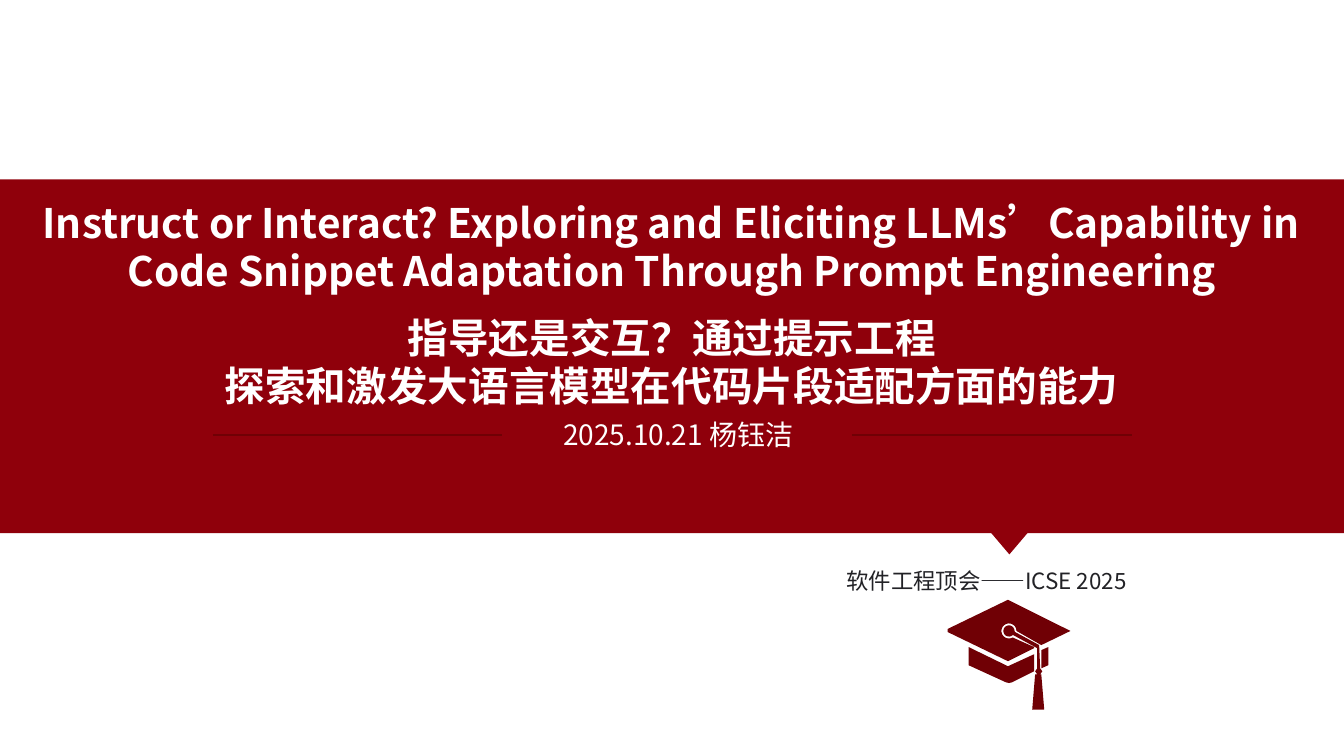
from math import cos, radians, sin

from lxml.etree import SubElement
from pptx import Presentation
from pptx.dml.color import RGBColor
from pptx.enum.shapes import MSO_CONNECTOR, MSO_SHAPE
from pptx.enum.text import MSO_ANCHOR, MSO_AUTO_SIZE, PP_ALIGN
from pptx.oxml.ns import qn
from pptx.util import Pt

RECT, WEDGE = MSO_SHAPE.RECTANGLE, MSO_SHAPE.ISOSCELES_TRIANGLE
LINE = MSO_CONNECTOR.STRAIGHT
LEFT, MID = PP_ALIGN.LEFT, PP_ALIGN.CENTER
TOP, FIXED = MSO_ANCHOR.TOP, MSO_AUTO_SIZE.NONE

WIDE, HIGH = 960, 540
FONT = "Noto Sans CJK SC"
HUES = {"band": "8F000B", "dark": "700005", "white": "FFFFFF", "ink": "222226"}
HEAD = {"size": Pt(29), "bold": True}
DATE = {"size": Pt(20), "bold": False}
NOTE = {"size": Pt(16), "bold": False}


def hue(name):
    return RGBColor.from_string(HUES[name])


def arc(size, start, end, steps=16):
    """Points around the button in the middle of the cap."""
    turns = [radians(start + (end - start) * i / steps) for i in range(steps + 1)]
    return [(43.9 + size * cos(t), 22.3 + size * sin(t)) for t in turns]


# Outlines of the graduation cap, measured from its top left corner
CAP = [
    # Right and left parts of the skullcap
    [(67, 49), (72, 46.8), (72, 33.8), (67, 36)],
    [(15.1, 33.8), (15.1, 46.8), (41.8, 59), (43.9, 59.5), (46.1, 59),
     (61.9, 51.1), (61.9, 38.9), (43.2, 47.5)],
    # Button and cord
    [(65.5, 33.1), (65.5, 32.4), (48.2, 23), *arc(4, 360, 45), (64.1, 34.6)],
    # Board, with a slot around the cord
    [(87.8, 22.3), (43.2, 0), (0, 20.9), (0, 23), (43.2, 43.9), (61.9, 34.6),
     (61.9, 33.8), *arc(5.4, 60, 360), (67, 32.4)],
    # Tassel
    [(65.5, 33.1), (66.2, 49), (67.7, 51.1), (66.2, 53.3), (67, 53.3),
     (69.1, 78.5), (60.5, 78.5), (62.6, 53.3), (64.1, 53.3), (62.6, 51.1),
     (64.1, 49), (64.1, 34.6)],
]


class Deck:
    def __init__(self):
        self.show = Presentation()
        self.show.slide_width, self.show.slide_height = Pt(WIDE), Pt(HIGH)
        self.slide = self.show.slides.add_slide(self.show.slide_layouts[0])
        self.shapes = self.slide.shapes

    def paint(self, shape, color):
        shape.shadow.inherit = False
        shape.fill.solid()
        shape.fill.fore_color.rgb = hue(color)
        shape.line.fill.background()
        return shape

    def block(self, kind, box, color):
        return self.paint(self.shapes.add_shape(kind, *map(Pt, box)), color)

    def outline(self, parts, x, y, color):
        pen = None
        for part in parts:
            first, *rest = [(Pt(a), Pt(b)) for a, b in part]
            if pen is None:
                pen = self.shapes.build_freeform(*first)
            else:
                pen.move_to(*first)
            pen.add_line_segments(rest)
        return self.paint(pen.convert_to_shape(Pt(x), Pt(y)), color)

    def rule(self, x, end, y, color):
        line = self.shapes.add_connector(LINE, Pt(x), Pt(y), Pt(end), Pt(y))
        line.line.color.rgb = hue(color)
        line.line.width = Pt(1.5)
        SubElement(line._element.spPr, qn("a:effectLst"))

    def letter(self, shape, rows, style, color="white", align=MID):
        frame = shape.text_frame
        frame.word_wrap, frame.auto_size = True, FIXED
        frame.vertical_anchor = TOP
        for i, row in enumerate(rows):
            para = frame.add_paragraph() if i else frame.paragraphs[0]
            para.alignment, para.line_spacing = align, 1.0
            para.space_before = para.space_after = Pt(0)
            run = para.add_run()
            run.text = row
            for key, value in {**style, "name": FONT}.items():
                setattr(run.font, key, value)
            run.font.color.rgb = hue(color)
            SubElement(run._r.get_or_add_rPr(), qn("a:ea"), typeface=FONT)

    def holder(self, index, box, rows, style):
        shape = self.slide.placeholders[index]
        shape.left, shape.top, shape.width, shape.height = map(Pt, box)
        self.letter(shape, rows, style)

    def label(self, box, text, style, color="white", align=MID):
        shape = self.shapes.add_textbox(*map(Pt, box))
        self.letter(shape, [text], style, color, align)


def main():
    deck = Deck()

    # Band behind the titles, with its pointer
    band = deck.block(RECT, (0, 128.2, WIDE, 252.7), "band")
    deck.shapes._spTree.insert(2, band._element)
    deck.block(WEDGE, (707, 379.5, 28, 16.5), "band").rotation = 180

    # Titles
    deck.holder(0, (0, 137.5, WIDE, 77.8), [
        "Instruct or Interact? Exploring and Eliciting LLMs’Capability in "
        "Code Snippet Adaptation Through Prompt Engineering"], HEAD)
    deck.holder(1, (0, 219.6, WIDE, 126.7), [
        "指导还是交互？通过提示工程",
        "探索和激发大语言模型在代码片段适配方面的能力"], HEAD)

    # Date and speaker between two rules
    deck.label((338.4, 294.5, 292.3, 31.7), "2025.10.21 杨钰洁", DATE)
    for x, end in ((152, 358.5), (608.5, 808.5)):
        deck.rule(x, end, 310.5, "dark")

    # Venue and graduation cap
    deck.label((597.6, 401.8, 350, 26.6), "软件工程顶会——ICSE 2025",
               NOTE, "ink", LEFT)
    deck.outline(CAP, 676.8, 428.4, "dark")

    deck.show.save("out.pptx")


if __name__ == "__main__":
    main()
